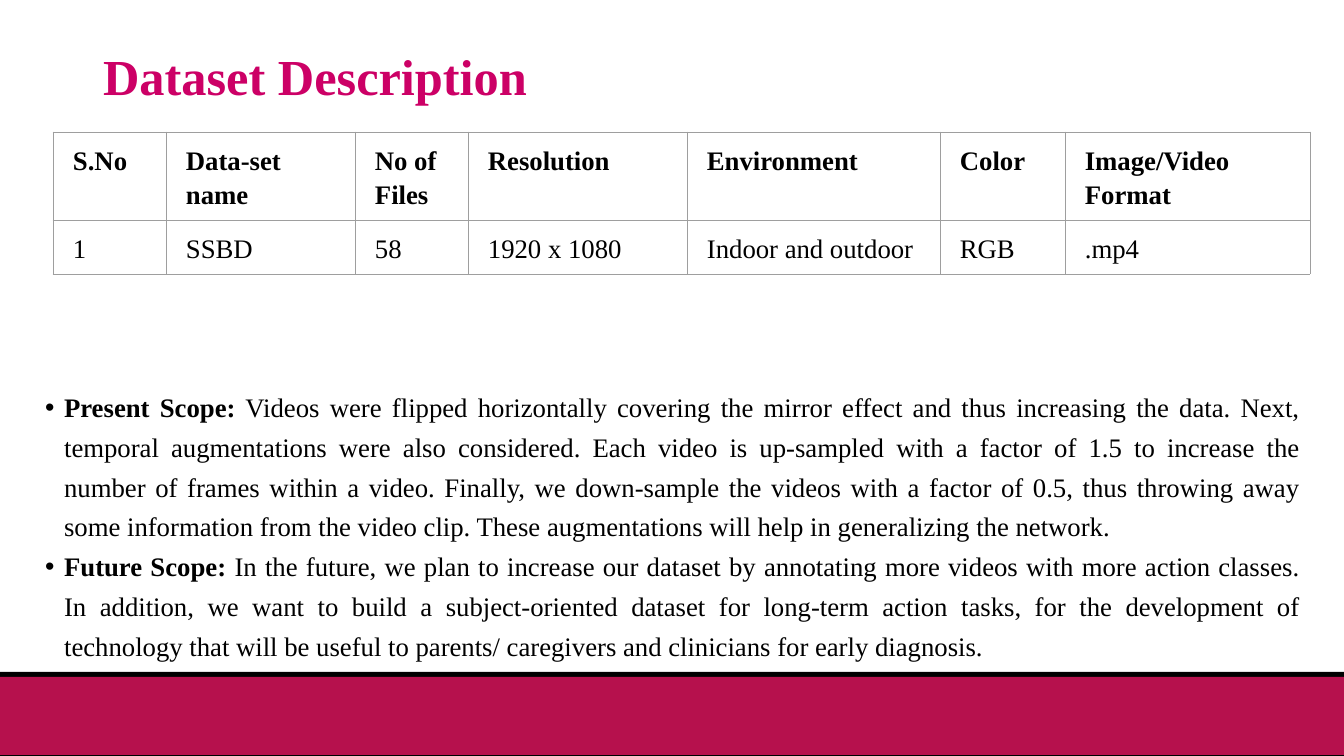
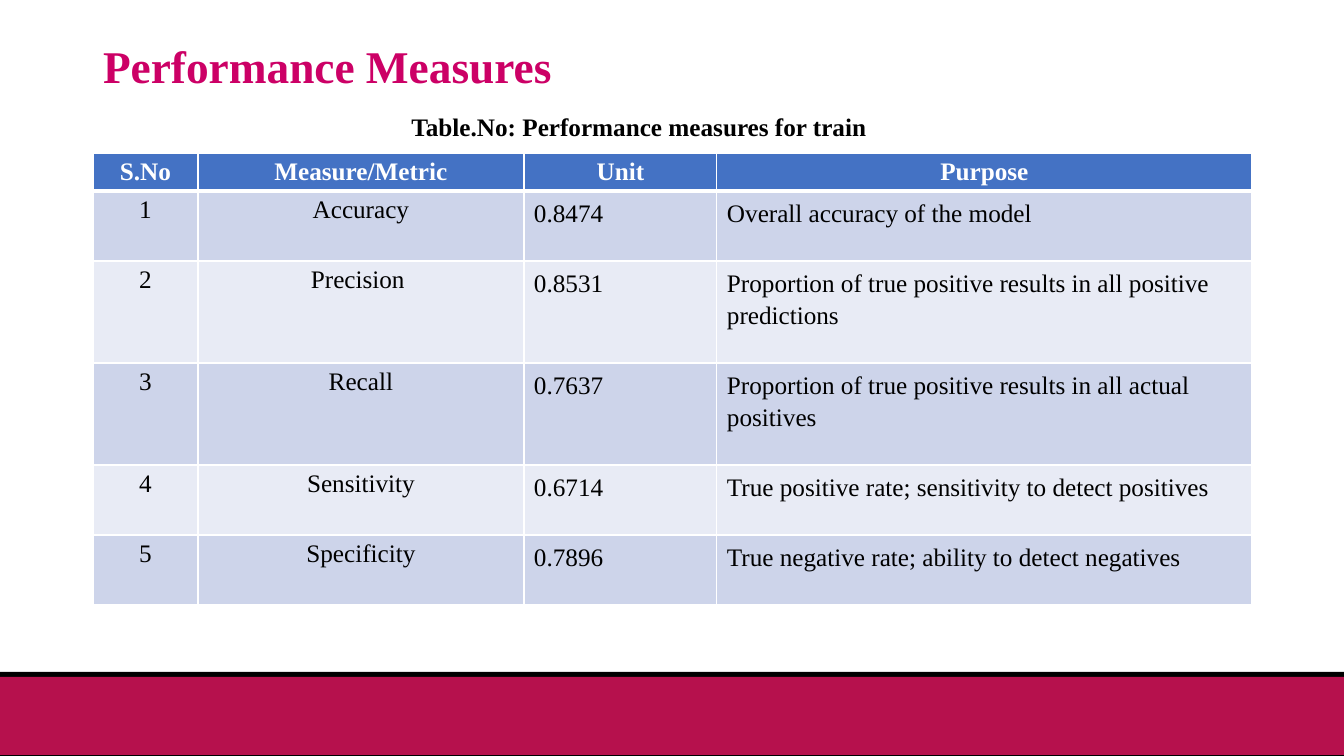
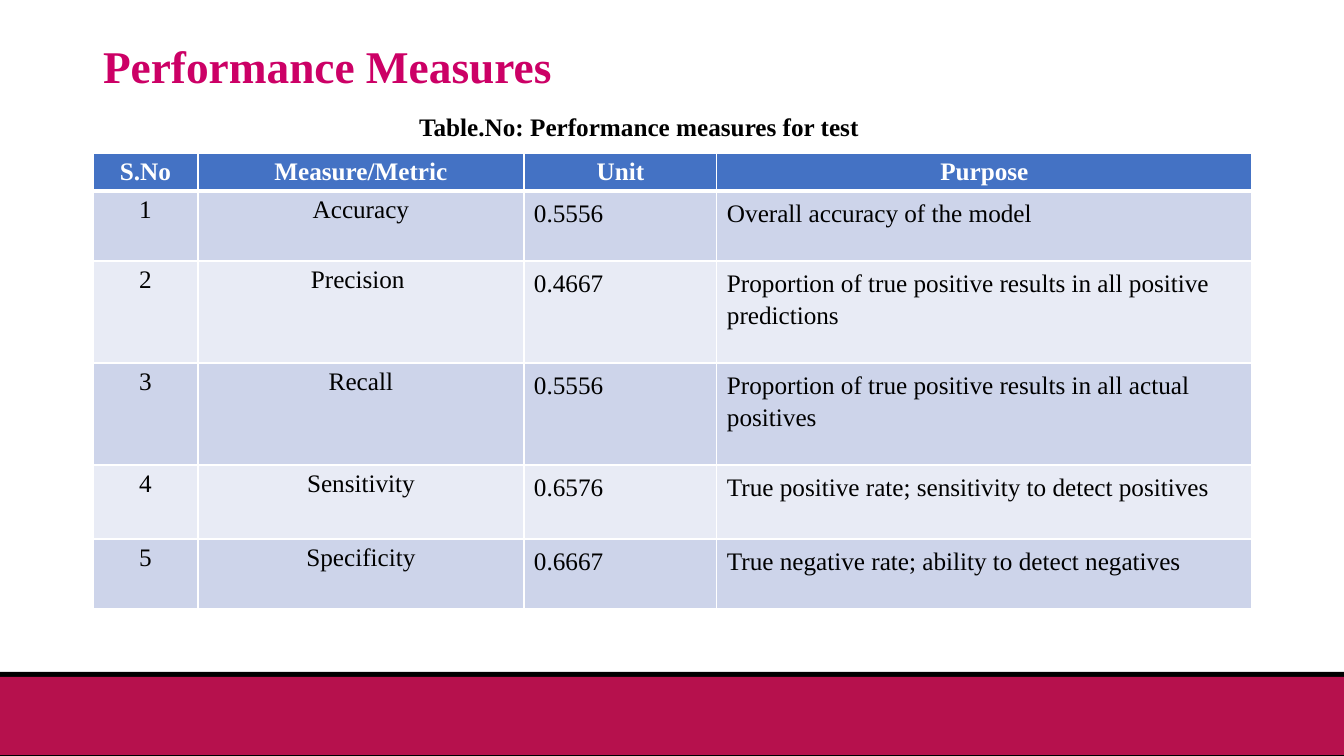
from lxml.etree import SubElement
from pptx import Presentation
from pptx.dml.color import RGBColor
from pptx.enum.shapes import MSO_SHAPE
from pptx.enum.text import MSO_ANCHOR, MSO_AUTO_SIZE, PP_ALIGN
from pptx.oxml.ns import qn
from pptx.util import Emu, Pt

FONT = "Times New Roman"
BLACK, WHITE = "000000", "FFFFFF"
MAGENTA, CRIMSON = "CC0066", "B6114D"
HEADER_BLUE, BANDS, GRID_GREY = "4472C4", ("CDD4EA", "E8EBF5"), "9E9E9E"
SLIDE_W, SLIDE_H = 1344, 756
TITLE_AND_BODY, TITLE_ONLY = 1, 5
BODY_PT = 19.1

DATASET = [
    ["S.No", "Data-set name", "No of Files", "Resolution", "Environment",
     "Color", "Image/Video Format"],
    ["1", "SSBD", "58", "1920 x 1080", "Indoor and outdoor", "RGB", ".mp4"],
]
SCOPES = [
    ("Present Scope:",
     " Videos were flipped horizontally covering the mirror effect and thus "
     "increasing the data. Next, temporal augmentations were also considered. "
     "Each video is up-sampled with a factor of 1.5 to increase the number of "
     "frames within a video. Finally, we down-sample the videos with a factor "
     "of 0.5, thus throwing away some information from the video clip. These "
     "augmentations will help in generalizing the network. "),
    ("Future Scope:",
     " In the future, we plan to increase our dataset by annotating more videos "
     "with more action classes. In addition, we want to build a subject-oriented "
     "dataset for long-term action tasks, for the development of technology that "
     "will be useful to parents/ caregivers and clinicians for early diagnosis."),
]
METRIC_HEADER = ["S.No", "Measure/Metric", "Unit", "Purpose"]
METRICS = [
    ("Accuracy", "Overall accuracy of the model"),
    ("Precision ", "Proportion of true positive results in all positive predictions"),
    ("Recall", "Proportion of true positive results in all actual positives"),
    ("Sensitivity", "True positive rate; sensitivity to detect positives"),
    ("Specificity", "True negative rate; ability to detect negatives"),
]
RESULTS = [
    ("train", ["0.8474", "0.8531", "0.7637", "0.6714", "0.7896"],
     [38, 70, 102, 102, 70, 70]),
    ("test", ["0.5556", "0.4667", "0.5556", "0.6576", "0.6667"],
     [38, 70, 102, 102, 74, 70]),
]


def px(n):
    return Emu(round(n * 914400 / 100.8))


def rgb(color):
    return RGBColor.from_string(color)


def place(sp, box):
    sp.left, sp.top, sp.width, sp.height = map(px, box)


def add_run(p, text, size, color=BLACK, bold=False):
    r = p.add_run()
    r.text = text
    r.font.name, r.font.size, r.font.bold = FONT, Pt(size), bold
    r.font.color.rgb = rgb(color)


def set_indent(p, left, first=0):
    pPr = p._p.get_or_add_pPr()
    pPr.set("marL", str(px(left)))
    pPr.set("indent", str(px(first)))


def set_borders(cell, color, **widths):
    """Draw the cell's borders; widths in points are keyed L, R, T, B."""
    tcPr = cell._tc.get_or_add_tcPr()
    for i, side in enumerate("LRTB"):
        ln = SubElement(tcPr, qn(f"a:ln{side}"), w=str(Pt(widths[side])))
        fill = SubElement(ln, qn("a:solidFill"))
        SubElement(fill, qn("a:srgbClr"), val=color)
        tcPr.insert(i, ln)


def add_master_bands(prs, slide):
    """Draw the footer bands and move them to the back of the master."""
    tree = prs.slide_master.shapes._spTree
    for i, (top, height, color) in enumerate([(672, 84, BLACK), (677, 78, CRIMSON)]):
        sp = slide.shapes.add_shape(MSO_SHAPE.RECTANGLE, 0, px(top),
                                    px(SLIDE_W), px(height))
        sp.shadow.inherit = False
        sp.fill.solid()
        sp.fill.fore_color.rgb = rgb(color)
        sp.line.fill.background()
        tree.insert(2 + i, sp._element)


def add_title(slide, text, size, box):
    title = slide.shapes.title
    place(title, box)
    tf = title.text_frame
    tf.auto_size = MSO_AUTO_SIZE.NONE
    tf.vertical_anchor = MSO_ANCHOR.MIDDLE
    p = tf.paragraphs[0]
    p.alignment, p.line_spacing = PP_ALIGN.LEFT, 0.9
    add_run(p, text, size, MAGENTA, True)


def add_scopes(slide, box):
    body = slide.placeholders[1]
    place(body, box)
    tf = body.text_frame
    tf.auto_size = MSO_AUTO_SIZE.NONE
    for i, (label, text) in enumerate(SCOPES):
        p = tf.add_paragraph() if i else tf.paragraphs[0]
        p.alignment, p.line_spacing = PP_ALIGN.JUSTIFY, 1.24
        p.space_before = Pt(0)
        set_indent(p, 25, -19)
        add_run(p, label, BODY_PT, bold=True)
        add_run(p, text, BODY_PT)


def add_grid(slide, left, top, widths, heights):
    """Add an unstyled table with the given column widths and row heights."""
    frame = slide.shapes.add_table(len(heights), len(widths), px(left), px(top),
                                   px(sum(widths)), px(sum(heights)))
    table = frame.table
    table.first_row = table.horz_banding = False
    for col, width in zip(table.columns, widths):
        col.width = px(width)
    for row, height in zip(table.rows, heights):
        row.height = px(height)
    return table


def add_dataset_table(slide, left, top):
    table = add_grid(slide, left, top, [113, 189, 113, 219, 253, 125, 245], [88, 54])
    for i, row in enumerate(DATASET):
        for j, text in enumerate(row):
            cell = table.cell(i, j)
            cell.margin_left = cell.margin_right = px(10)
            cell.margin_top = cell.margin_bottom = px(10)
            cell.fill.background()
            set_borders(cell, GRID_GREY, L=0.6, R=0.6, T=0.6, B=0.6)
            p = cell.text_frame.paragraphs[0]
            p.line_spacing = 1.15
            set_indent(p, 10)
            add_run(p, text, BODY_PT, bold=i == 0)


def add_metric_table(slide, left, top, values, heights):
    table = add_grid(slide, left, top, [105, 326, 193, 535], heights)
    rows = [METRIC_HEADER] + [
        [str(n), name, value, purpose]
        for n, ((name, purpose), value) in enumerate(zip(METRICS, values), 1)]
    for i, row in enumerate(rows):
        header = i == 0
        for j, text in enumerate(row):
            cell = table.cell(i, j)
            cell.fill.solid()
            cell.fill.fore_color.rgb = rgb(HEADER_BLUE if header else BANDS[(i - 1) % 2])
            set_borders(cell, WHITE, L=1, R=1, T=3 if i == 1 else 1, B=3 if header else 1)
            p = cell.text_frame.paragraphs[0]
            if header or j < 2:
                p.alignment = PP_ALIGN.CENTER
            else:
                p.line_spacing = 1.15
            add_run(p, text, 18, WHITE if header else BLACK, header)


def add_caption(slide, text, box):
    tf = slide.shapes.add_textbox(*map(px, box)).text_frame
    tf.word_wrap = True
    p = tf.paragraphs[0]
    p.alignment = PP_ALIGN.CENTER
    add_run(p, text, 18, bold=True)


def dataset_slide(prs):
    slide = prs.slides.add_slide(prs.slide_layouts[TITLE_AND_BODY])
    add_title(slide, "Dataset Description", 36, (93, 40, 1159, 78))
    add_dataset_table(slide, 53, 132)
    add_scopes(slide, (29, 378, 1281, 283))
    return slide


def performance_slide(prs, split, values, heights):
    slide = prs.slides.add_slide(prs.slide_layouts[TITLE_ONLY])
    add_title(slide, "Performance Measures", 32.4, (93, 40, 1159, 58))
    add_metric_table(slide, 93, 153, values, heights)
    add_caption(slide, f"Table.No: Performance measures for {split}",
                (303, 106, 672, 40))


def main():
    prs = Presentation()
    prs.slide_width, prs.slide_height = px(SLIDE_W), px(SLIDE_H)
    add_master_bands(prs, dataset_slide(prs))
    for result in RESULTS:
        performance_slide(prs, *result)
    prs.save("out.pptx")


if __name__ == "__main__":
    main()
